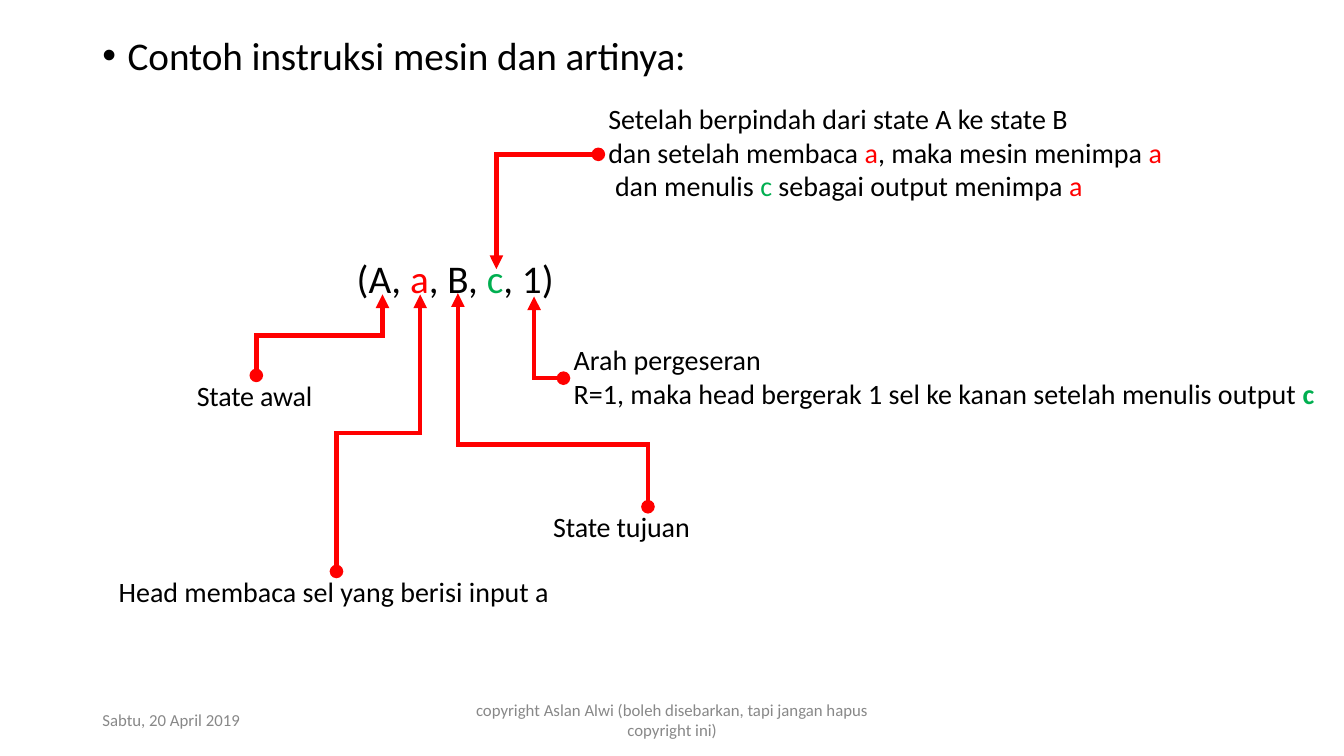
import pptx
import pptx.dml.color
import pptx.enum.text
import pptx.util
from lxml import etree
from pptx.oxml.ns import qn
from pptx.util import Cm, Pt

COLORS = {"black": "000000", "red": "FF0000", "green": "00AF50", "gray": "888888"}
LEFT, CENTER = pptx.enum.text.PP_ALIGN.LEFT, pptx.enum.text.PP_ALIGN.CENTER


def rgb(name):
    return pptx.dml.color.RGBColor.from_string(COLORS[name])


def add_text(box, size, paragraphs, spacing=0, color="black", align=LEFT):
    """A paragraph is a list of runs; a run is (text, colour, bold), the last two optional."""
    tf = s.shapes.add_textbox(*[Cm(v) for v in box]).text_frame
    frame_format = {"word_wrap": True, "margin_left": 0, "margin_right": 0,
                    "margin_top": 0, "margin_bottom": 0}
    for name, value in frame_format.items():
        setattr(tf, name, value)
    for i, runs in enumerate(paragraphs):
        p = tf.paragraphs[0] if i == 0 else tf.add_paragraph()
        p.alignment = align
        for text, *style in runs:
            r = p.add_run()
            r.text = text
            font_format = {"name": "Calibri", "size": Pt(size), "bold": len(style) > 1}
            for name, value in font_format.items():
                setattr(r.font, name, value)
            r.font.color.rgb = rgb(style[0] if style else color)
            r.font._element.set("spc", str(spacing))
    return tf


prs = pptx.Presentation()
prs.slide_width, prs.slide_height = Cm(33.87), Cm(19.05)
s = prs.slides.add_slide(prs.slide_layouts[6])

# Bent arrows, from the dot at the explanation to the tip at the symbol
arrows = [
    [(6.46, 9.46), (6.46, 8.45), (9.64, 8.45), (9.64, 7.42)],
    [(8.48, 14.4), (8.48, 10.91), (10.59, 10.91), (10.59, 7.42)],
    [(16.33, 12.77), (16.33, 11.2), (11.54, 11.2), (11.54, 7.39)],
    [(15.08, 3.89), (12.51, 3.89), (12.51, 6.78)],
    [(14.2, 9.53), (13.46, 9.53), (13.46, 7.47)],
]
for corners in arrows:
    points = [(Cm(x), Cm(y)) for x, y in corners]
    builder = s.shapes.build_freeform(*points[0])
    builder.add_line_segments(points[1:], close=False)
    sp = builder.convert_to_shape()
    sp.shadow.inherit = False
    sp.fill.background()
    sp.line.color.rgb = rgb("red")
    sp.line.width = Pt(3.25)
    ln = sp.line._get_or_add_ln()
    etree.SubElement(ln, qn("a:miter")).set("lim", "800000")
    for end, kind in (("a:headEnd", "oval"), ("a:tailEnd", "triangle")):
        etree.SubElement(ln, qn(end)).set("type", kind)

# Heading with bullet
tf = add_text((2.56, 0.79, 20, 1.2), 28,
              [[("Contoh instruksi mesin dan artinya:",)]], spacing=-5)
pPr = tf.paragraphs[0]._p.get_or_add_pPr()
pPr.set("marL", str(Cm(0.66)))
pPr.set("indent", str(Cm(-0.64)))
etree.SubElement(pPr, qn("a:buFont")).set("typeface", "Arial")
etree.SubElement(pPr, qn("a:buChar")).set("char", "•")

# Machine instruction
add_text((8.99, 6.42, 6, 1.2), 28, [[
    ("(A, ",), ("a", "red"), (", B, ",), ("c", "green"), (", 1)",)]])

# Explanations
tf = add_text((15.33, 2.56, 15.5, 2.58), 20, [
    [("Setelah berpindah dari state A ke state B",)],
    [("dan setelah membaca ",), ("a", "red"), (", maka mesin menimpa ",), ("a", "red")],
    [("dan menulis ",), ("c", "green"), (" sebagai output menimpa ",), ("a", "red")],
])
tf.paragraphs[2]._p.get_or_add_pPr().set("marL", str(Cm(0.17)))
add_text((14.46, 8.63, 18.9, 1.72), 20, [
    [("Arah pergeseran",)],
    [("R=1, maka head bergerak 1 sel ke kanan setelah menulis output ",),
     ("c", "green", True)],
])
labels = [
    ("State awal", 4.96, 9.55, 3.4, -15),
    ("State tujuan", 13.94, 12.83, 4, -10),
    ("Head membaca sel yang berisi input a", 2.99, 14.48, 11.5, 0),
]
for label, x, y, width, spacing in labels:
    add_text((x, y, width, 0.86), 20, [[(label,)]], spacing)

# Footer
footer = add_text((11.96, 17.7, 9.96, 1.02), 12, [
    [("copyright Aslan Alwi (boleh disebarkan, tapi jangan hapus",)],
    [("copyright ini)",)],
], color="gray", align=CENTER)
date = add_text((2.58, 17.96, 3.8, 0.48), 12, [[("Sabtu, 20 April 2019",)]], color="gray")
for tf in (footer, date):
    tf.paragraphs[0].line_spacing = Pt(12.4)

prs.save("out.pptx")
